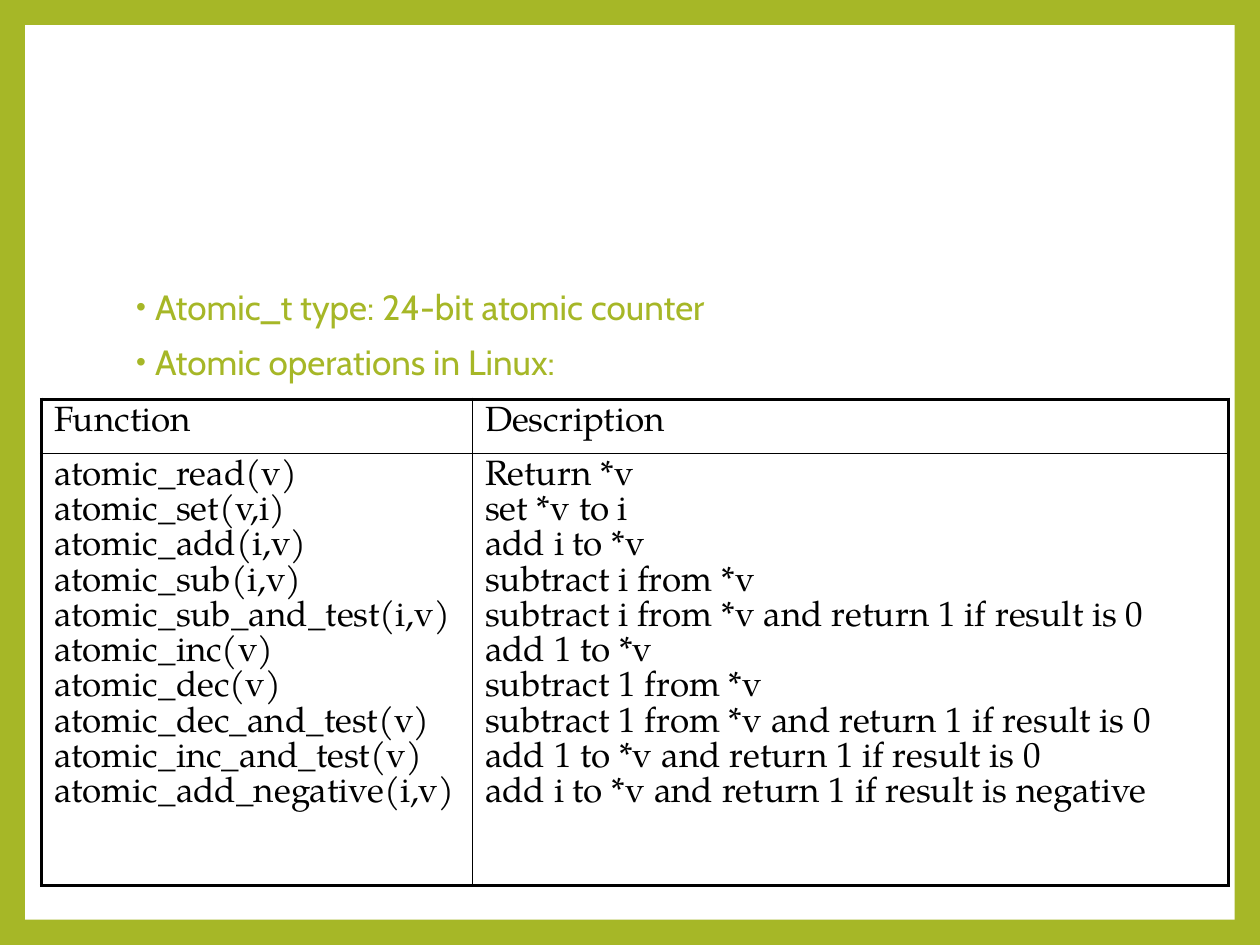
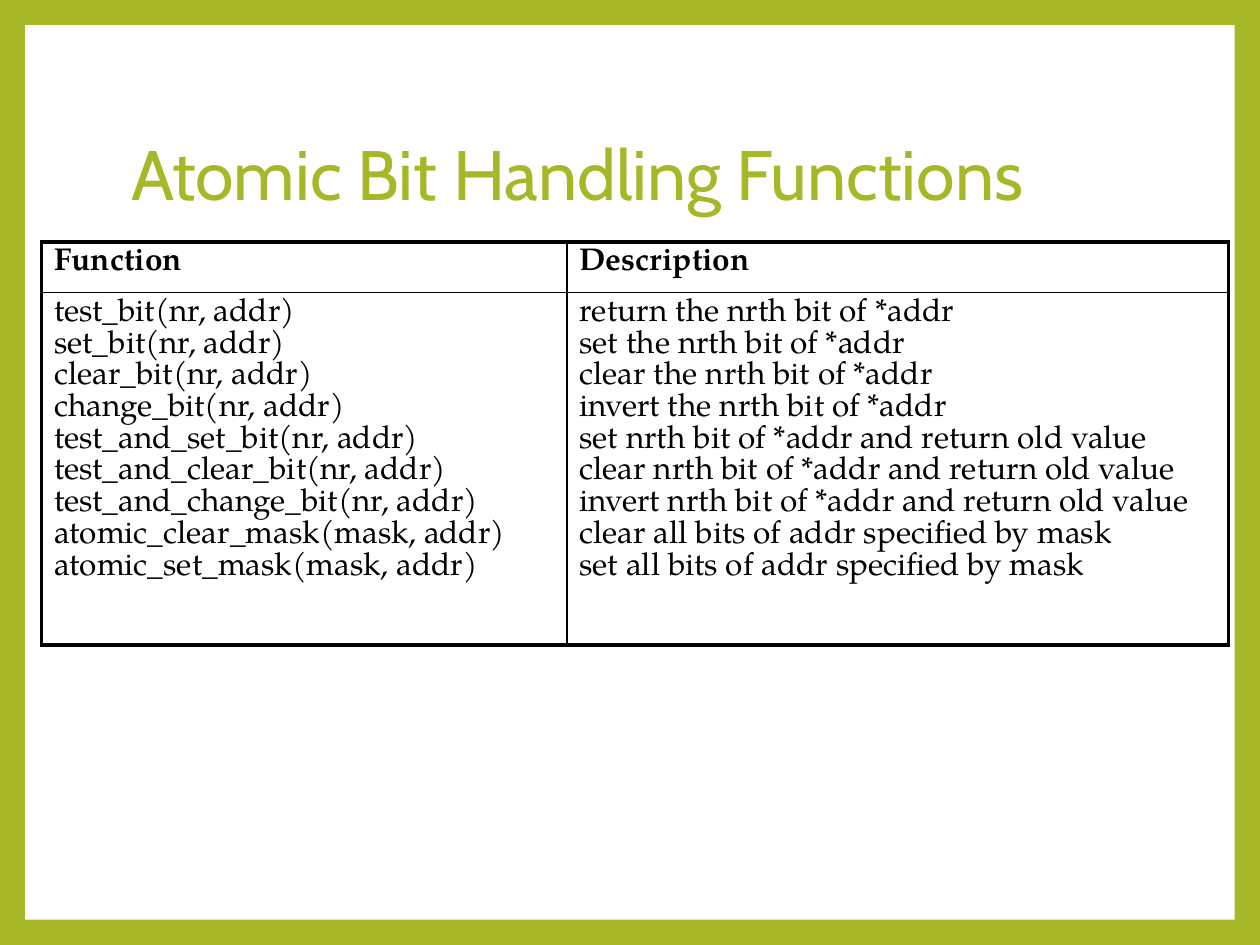
from dataclasses import dataclass

import lxml.etree
import pptx
import pptx.dml.color
import pptx.enum.shapes
import pptx.enum.text
import pptx.oxml.ns
import pptx.presentation
import pptx.shapes.base
import pptx.slide
import pptx.table
import pptx.text.text
import pptx.util

Inches = pptx.util.Inches
Pt = pptx.util.Pt
RGBColor = pptx.dml.color.RGBColor

GREEN = RGBColor(0xA6, 0xB7, 0x27)
WHITE = RGBColor(0xFF, 0xFF, 0xFF)
BLACK = RGBColor(0, 0, 0)
HEADING_FONT = "Cabin"
TABLE_FONT = "TeX Gyre Pagella"

FRAME = Inches(0.2)
TEXT_LEFT, TEXT_WIDTH = Inches(0.94), Inches(8.1)
TABLE_LEFT = Inches(0.33)
OUTER_LINE, INNER_LINE = Pt(2.25), Pt(1)


@dataclass(frozen=True)
class FunctionTable:
    top: float
    column_widths: tuple[float, float]
    row_heights: tuple[float, float]
    font_size: int
    bold_header: bool
    functions: list[tuple[str, str]]


ATOMIC_OPERATIONS = FunctionTable(
    top=3.17,
    column_widths=(3.42, 6),
    row_heights=(0.43, 3.43),
    font_size=20,
    bold_header=False,
    functions=[
        ("atomic_read(v)", "Return *v"),
        ("atomic_set(v,i)", "set *v to i"),
        ("atomic_add(i,v)", "add i to *v"),
        ("atomic_sub(i,v)", "subtract i from *v"),
        ("atomic_sub_and_test(i,v)", "subtract i from *v and return 1 if result is 0"),
        ("atomic_inc(v)", "add 1 to *v"),
        ("atomic_dec(v)", "subtract 1 from *v"),
        ("atomic_dec_and_test(v)", "subtract 1 from *v and return 1 if result is 0"),
        ("atomic_inc_and_test(v)", "add 1 to *v and return 1 if result is 0"),
        ("atomic_add_negative(i,v)", "add i to *v and return 1 if result is negative"),
    ],
)

BIT_HANDLING = FunctionTable(
    top=1.92,
    column_widths=(4.17, 5.25),
    row_heights=(0.4, 2.8),
    font_size=18,
    bold_header=True,
    functions=[
        ("test_bit(nr, addr)", "return the nrth bit of *addr"),
        ("set_bit(nr, addr)", "set the nrth bit of *addr"),
        ("clear_bit(nr, addr)", "clear the nrth bit of *addr"),
        ("change_bit(nr, addr)", "invert the nrth bit of *addr"),
        ("test_and_set_bit(nr, addr)", "set nrth bit of *addr and return old value"),
        ("test_and_clear_bit(nr, addr)", "clear nrth bit of *addr and return old value"),
        ("test_and_change_bit(nr, addr)", "invert nrth bit of *addr and return old value"),
        ("atomic_clear_mask(mask, addr)", "clear all bits of addr specified by mask"),
        ("atomic_set_mask(mask, addr)", "set all bits of addr specified by mask"),
    ],
)


def add_element(parent: lxml.etree._Element, tag: str, **attributes: str) -> lxml.etree._Element:
    return lxml.etree.SubElement(parent, pptx.oxml.ns.qn(tag), attributes)


def add_run(paragraph: pptx.text.text._Paragraph, text: str, font_name: str,
            size: int, color: RGBColor, bold: bool = False) -> None:
    run = paragraph.add_run()
    run.text = text
    run.font.name = font_name
    run.font.size = Pt(size)
    run.font.bold = bold
    run.font.color.rgb = color


def place(shape: pptx.shapes.base.BaseShape, top: float, height: float) -> None:
    shape.left, shape.width = TEXT_LEFT, TEXT_WIDTH
    shape.top, shape.height = Inches(top), Inches(height)


def style_master(presentation: pptx.presentation.Presentation, slide: pptx.slide.Slide) -> None:
    """Give the master a green background and a white panel, drawn first on the slide."""
    master = presentation.slide_master
    master.background.fill.solid()
    master.background.fill.fore_color.rgb = GREEN
    panel = slide.shapes.add_shape(
        pptx.enum.shapes.MSO_SHAPE.RECTANGLE, FRAME, FRAME,
        presentation.slide_width - 2 * FRAME, presentation.slide_height - 2 * FRAME)
    panel.shadow.inherit = False
    panel.fill.solid()
    panel.fill.fore_color.rgb = WHITE
    panel.line.fill.background()
    master.shapes.element.insert(2, panel.element)


def set_title(slide: pptx.slide.Slide, text: str) -> None:
    title = slide.shapes.title
    place(title, 0.67, 1.48)
    frame = title.text_frame
    frame.vertical_anchor = pptx.enum.text.MSO_ANCHOR.MIDDLE
    frame.auto_size = pptx.enum.text.MSO_AUTO_SIZE.NONE
    paragraph = frame.paragraphs[0]
    paragraph.alignment = pptx.enum.text.PP_ALIGN.LEFT
    paragraph.line_spacing = 0.9
    add_run(paragraph, text, HEADING_FONT, 40, GREEN)


def set_bullets(slide: pptx.slide.Slide, items: list[str]) -> None:
    body = slide.placeholders[1]
    place(body, 2.25, 4.42)
    frame = body.text_frame
    frame.auto_size = pptx.enum.text.MSO_AUTO_SIZE.NONE
    for index, item in enumerate(items):
        paragraph = frame.add_paragraph() if index else frame.paragraphs[0]
        properties = paragraph._p.get_or_add_pPr()
        properties.set("marL", str(Inches(0.19)))
        properties.set("indent", str(Inches(-0.15)))
        add_element(add_element(properties, "a:buClr"), "a:srgbClr", val=str(GREEN))
        add_element(properties, "a:buSzPct", val="80000")
        add_element(properties, "a:buChar", char="•")
        paragraph.line_spacing = 0.9
        paragraph.space_before = Pt(10 if index else 0)
        add_run(paragraph, item, HEADING_FONT, 20, GREEN)


def set_borders(cell: pptx.table._Cell, row: int, column: int) -> None:
    """Draw heavy lines on the outside of the two-by-two table and thin ones inside."""
    properties = cell._tc.get_or_add_tcPr()
    outer_sides = {"a:lnL": column == 0, "a:lnR": column == 1,
                   "a:lnT": row == 0, "a:lnB": row == 1}
    for tag, is_outer in outer_sides.items():
        line = add_element(properties, tag, w=str(OUTER_LINE if is_outer else INNER_LINE))
        add_element(add_element(line, "a:solidFill"), "a:srgbClr", val=str(BLACK))


def add_function_table(slide: pptx.slide.Slide, content: FunctionTable) -> None:
    frame = slide.shapes.add_table(
        2, 2, TABLE_LEFT, Inches(content.top),
        Inches(sum(content.column_widths)), Inches(sum(content.row_heights)))
    table = frame.table
    table.first_row = table.horz_banding = False
    for table_column, width in zip(table.columns, content.column_widths):
        table_column.width = Inches(width)
    for table_row, height in zip(table.rows, content.row_heights):
        table_row.height = Inches(height)

    names, descriptions = zip(*content.functions)
    cell_lines = [[("Function",), ("Description",)], [names, descriptions]]
    for row, row_lines in enumerate(cell_lines):
        for column, lines in enumerate(row_lines):
            cell = table.cell(row, column)
            set_borders(cell, row, column)
            cell.fill.background()
            paragraph = cell.text_frame.paragraphs[0]
            for index, line in enumerate(lines):
                if index:
                    paragraph.add_line_break()
                add_run(paragraph, line, TABLE_FONT, content.font_size, BLACK,
                        bold=content.bold_header and row == 0)


def main() -> None:
    presentation = pptx.Presentation()
    presentation.slide_width, presentation.slide_height = Inches(10), Inches(7.5)
    title_and_content = presentation.slide_layouts[1]
    title_only = presentation.slide_layouts[5]

    operations_slide = presentation.slides.add_slide(title_and_content)
    style_master(presentation, operations_slide)
    unused_title = operations_slide.shapes.title.element
    unused_title.getparent().remove(unused_title)
    set_bullets(operations_slide, ["Atomic_t type: 24-bit atomic counter",
                                   "Atomic operations in Linux:"])
    add_function_table(operations_slide, ATOMIC_OPERATIONS)

    bits_slide = presentation.slides.add_slide(title_only)
    set_title(bits_slide, "Atomic Bit Handling Functions")
    add_function_table(bits_slide, BIT_HANDLING)

    presentation.save("out.pptx")


if __name__ == "__main__":
    main()
